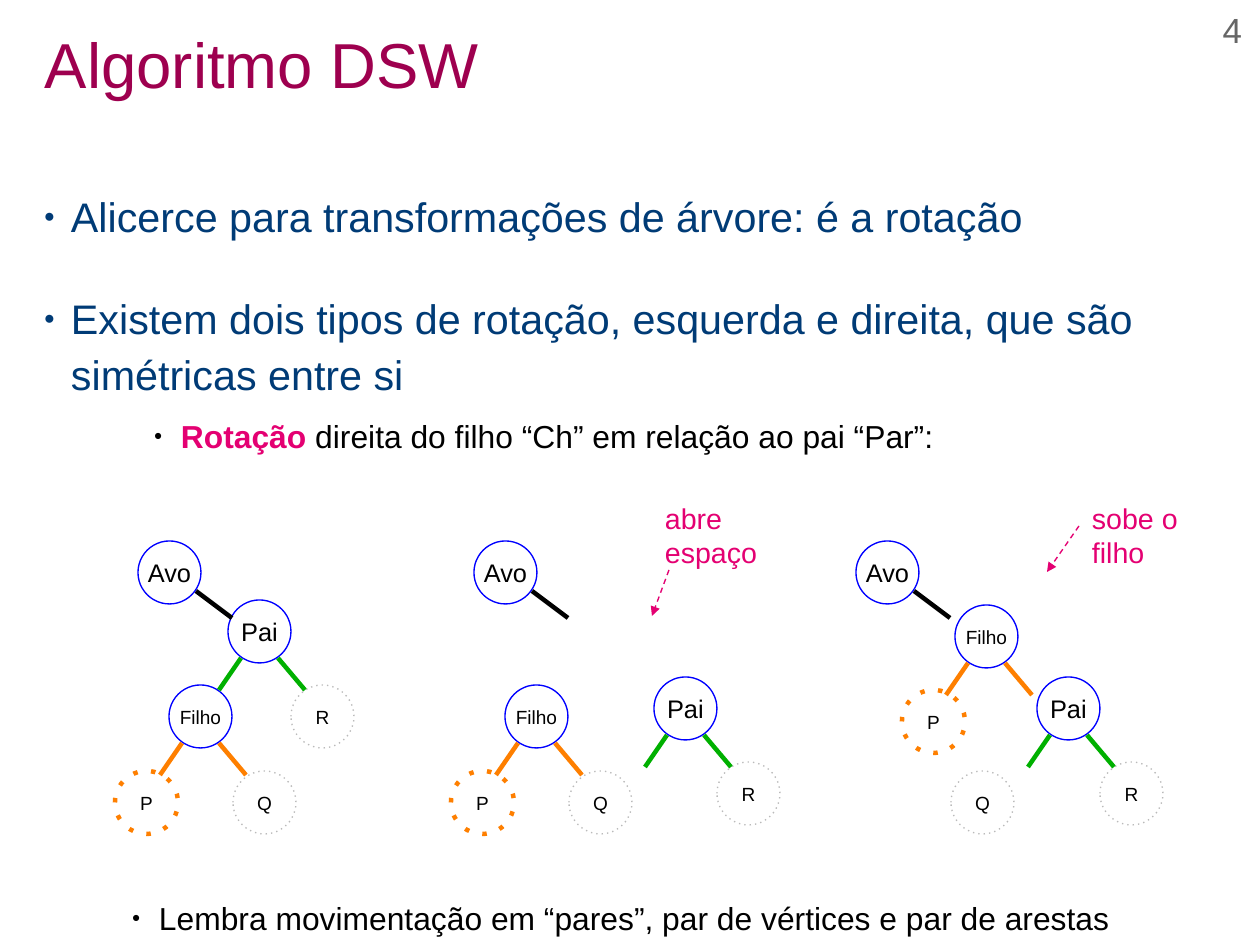
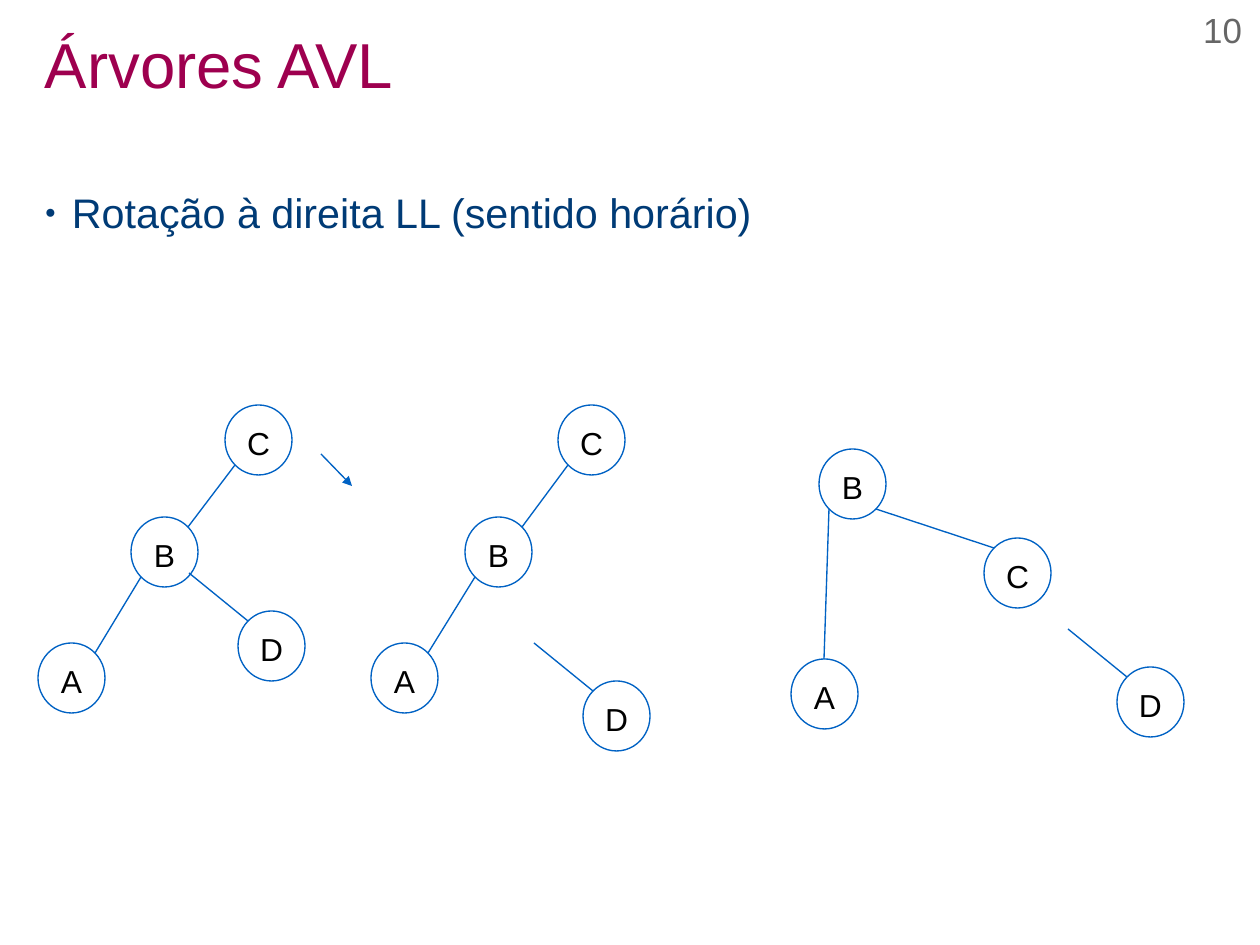
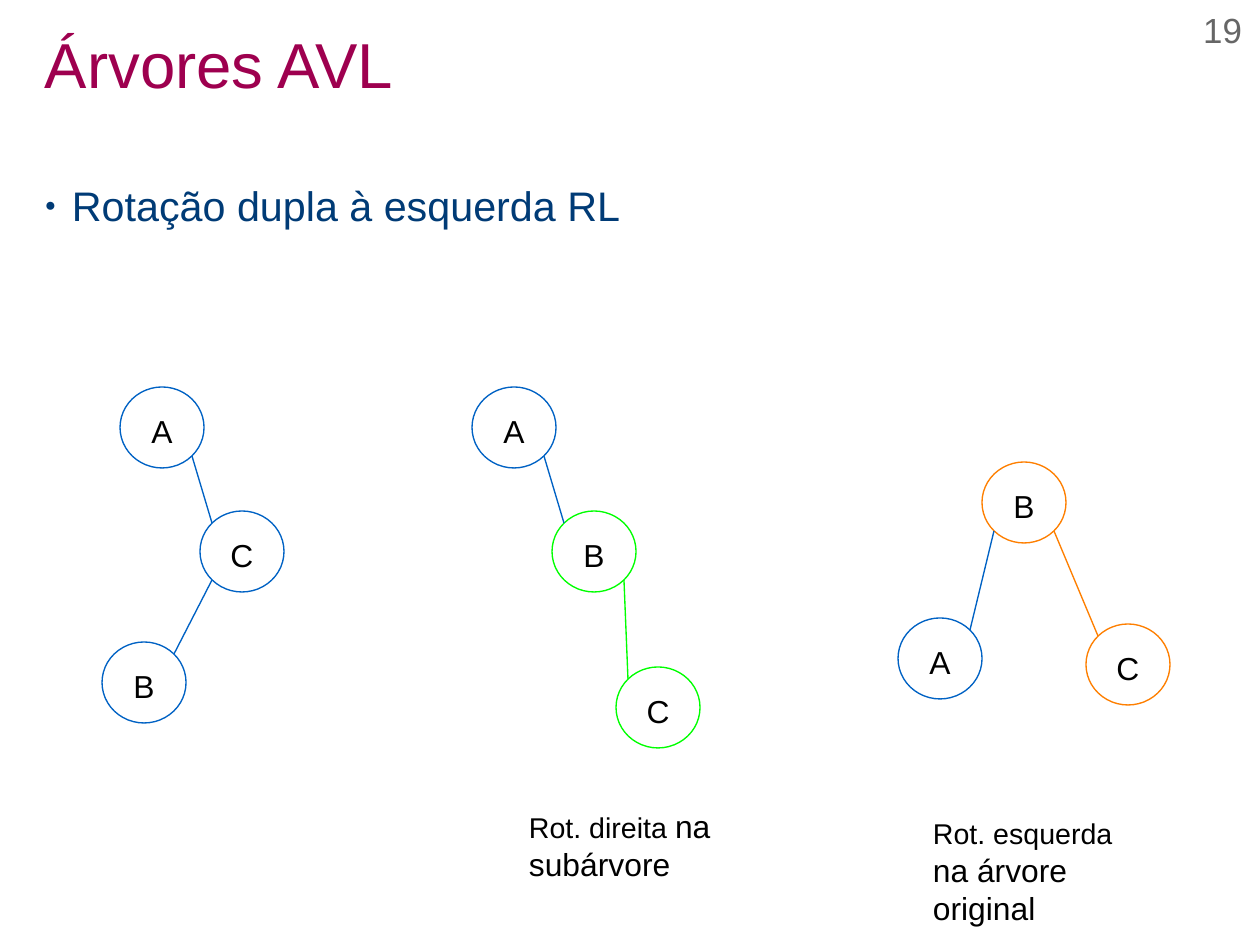
from lxml import etree
from pptx import Presentation
from pptx.dml.color import RGBColor
from pptx.enum.shapes import MSO_CONNECTOR, MSO_SHAPE
from pptx.enum.text import MSO_ANCHOR, MSO_AUTO_SIZE, PP_ALIGN
from pptx.oxml.ns import qn
from pptx.util import Pt

STRAIGHT = MSO_CONNECTOR.STRAIGHT
ELLIPSE = MSO_SHAPE.OVAL
MIDDLE = MSO_ANCHOR.MIDDLE
NO_FIT = MSO_AUTO_SIZE.NONE
LEFT, CENTER, RIGHT = PP_ALIGN.LEFT, PP_ALIGN.CENTER, PP_ALIGN.RIGHT

EMU_PER_PX = 8000
FONT = "Arial"
BLACK, GRAY, SILVER = "000000", "666666", "BABABA"
WINE, NAVY, PINK = "9E004F", "003B76", "E40072"
BLUE, AVL_BLUE, ORANGE = "0000FF", "0062C4", "FE7F00"
GREEN, LIME = "00B000", "00FF00"
THIN, THICK = 0.85, 2.83
TEXT_MARGINS = (11, 6)

# Points on an ellipse, as fractions of its half width and half height
SITES = {"top": (0, -1), "top left": (-0.71, -0.71), "top right": (0.71, -0.71),
         "bottom left": (-0.71, 0.71), "bottom right": (0.71, 0.71)}


def px(length):
    return round(length * EMU_PER_PX)


def rgb(color):
    return RGBColor.from_string(color)


def site(node, name):
    """Point of a node's outline, in px."""
    across, down = SITES[name]
    return (round((node.left + node.width * (1 + across) / 2) / EMU_PER_PX),
            round((node.top + node.height * (1 + down) / 2) / EMU_PER_PX))


class Deck:
    def __init__(self):
        self.presentation = Presentation()
        self.presentation.slide_width = px(1260)
        self.presentation.slide_height = px(945)
        self.slide = None

    # Slide frame: title and page number
    def new_slide(self, title, number):
        layout = self.presentation.slide_layouts[5]
        self.slide = self.presentation.slides.add_slide(layout)
        shape = self.slide.shapes.title
        shape.left, shape.top, shape.width, shape.height = map(px, (45, 23, 1170, 90))
        self.frame(shape, (0, 0), MIDDLE)
        self.set_paragraph(shape.text_frame.paragraphs[0], title, 40, WINE, LEFT, 0.9)
        self.text((930, 9, 312, 53), [number], 22, GRAY, RIGHT, margins=(0, 0))

    # Text
    def frame(self, shape, margins, anchor=None):
        frame = shape.text_frame
        frame.word_wrap = True
        frame.auto_size = NO_FIT
        frame.margin_left = frame.margin_right = px(margins[0])
        frame.margin_top = frame.margin_bottom = px(margins[1])
        if anchor is not None:
            frame.vertical_anchor = anchor
        return frame

    def style_font(self, font, size, color, bold=False):
        font.name, font.size, font.bold = FONT, Pt(size), bold
        font.color.rgb = rgb(color)

    def set_paragraph(self, paragraph, content, size, color, align=LEFT, spacing=1.0):
        """Content is a string, or runs given as (text, size, color, bold)."""
        if isinstance(content, str):
            paragraph.text = content
        else:
            for text, *style in content:
                run = paragraph.add_run()
                run.text = text
                self.style_font(run.font, *style)
        paragraph.alignment = align
        paragraph.line_spacing = spacing
        self.style_font(paragraph.font, size, color)

    def bullet(self, paragraph, color):
        properties = paragraph._p.get_or_add_pPr()
        properties.set("marL", str(px(27)))
        properties.set("indent", str(-px(27)))
        bullet_color = etree.SubElement(properties, qn("a:buClr"))
        etree.SubElement(bullet_color, qn("a:srgbClr"), val=color)
        etree.SubElement(properties, qn("a:buSzPct"), val="45000")
        etree.SubElement(properties, qn("a:buFont"), typeface=FONT)
        etree.SubElement(properties, qn("a:buChar"), char="●")

    def text(self, box, contents, size, color, align=LEFT, spacing=1.0,
             margins=TEXT_MARGINS, bullets=False, gap=0):
        shape = self.slide.shapes.add_textbox(*map(px, box))
        frame = self.frame(shape, margins)
        for index, content in enumerate(contents):
            paragraph = frame.add_paragraph() if index else frame.paragraphs[0]
            if bullets:
                self.bullet(paragraph, color)
            self.set_paragraph(paragraph, content, size, color, align, spacing)
            if index and gap:
                paragraph.space_before = Pt(gap)

    def topics(self, box, contents, spacing=1.15):
        self.text(box, contents, 26, NAVY, spacing=spacing, margins=(0, 0),
                  bullets=True, gap=28)

    def subtopic(self, box, content):
        self.text(box, [content], 20, BLACK, spacing=1.15, bullets=True)

    # Outlines and lines
    def outline(self, shape, color, width, dash=None, arrow=False):
        shape.line.color.rgb = rgb(color)
        shape.line.width = Pt(width)
        line = shape.element.spPr.find(qn("a:ln"))
        if dash:
            etree.SubElement(line, qn("a:prstDash"), val=dash)
        if arrow:
            etree.SubElement(line, qn("a:tailEnd"), type="triangle")

    def line(self, start, end, color, width=THIN, dash=None, arrow=False):
        connector = self.slide.shapes.add_connector(STRAIGHT, *map(px, (*start, *end)))
        self.outline(connector, color, width, dash, arrow)
        etree.SubElement(connector.element.spPr, qn("a:effectLst"))

    # Tree nodes and edges
    def node(self, label, box, size, color, width=THIN, dash=None, spacing=1.0):
        shape = self.slide.shapes.add_shape(ELLIPSE, *map(px, box))
        shape.shadow.inherit = False
        shape.fill.background()
        self.outline(shape, color, width, dash)
        frame = self.frame(shape, (0, 0), MIDDLE)
        self.set_paragraph(frame.paragraphs[0], label, size, BLACK, CENTER, spacing)
        return shape

    def letter_tree(self, places, size, edges, colors):
        """Edges are (node, site, node, site, color)."""
        nodes = {letter: self.node(letter, (*place, *size), 20,
                                   colors.get(letter, AVL_BLUE), spacing=1.15)
                 for letter, place in places.items()}
        for first, first_site, second, second_site, color in edges:
            self.line(site(nodes[first], first_site),
                      site(nodes[second], second_site), color)
        return nodes


# Family trees: label -> (text size, outline color, width, dash)
FAMILY_STYLES = {"Avo": (16, BLUE, THIN, None), "Pai": (16, BLUE, THIN, None),
                 "Filho": (12, BLUE, THIN, None), "P": (12, ORANGE, THICK, "dot"),
                 "Q": (12, SILVER, THIN, "dot"), "R": (12, SILVER, THIN, "dot")}
# Edges leaving a node: start inside its box, run, color
LEFT_EDGE = ((13, 58), (-22, 32))
RIGHT_EDGE = ((50, 58), (27, 32))
FAMILY_EDGES = [("Avo", (58, 50), (36, 27), BLACK),
                ("Pai", *LEFT_EDGE, GREEN), ("Pai", *RIGHT_EDGE, GREEN),
                ("Filho", *LEFT_EDGE, ORANGE), ("Filho", *RIGHT_EDGE, ORANGE)]
FAMILY_TREES = [
    {"Avo": (138, 541), "Pai": (228, 600), "Filho": (169, 685),
     "P": (115, 771), "Q": (233, 771), "R": (291, 685)},
    {"Avo": (474, 541), "Pai": (654, 677), "Filho": (505, 685),
     "P": (451, 771), "Q": (569, 771), "R": (717, 762)},
    {"Avo": (856, 541), "Pai": (1037, 677), "Filho": (955, 605),
     "P": (902, 690), "Q": (951, 771), "R": (1100, 762)},
]


def dsw_slide(deck):
    deck.new_slide("Algoritmo DSW", "4")
    deck.topics((44, 184, 1170, 216), [
        "Alicerce para transformações de árvore: é a rotação",
        "Existem dois tipos de rotação, esquerda e direita, que são simétricas entre si"])
    deck.subtopic((143, 405, 846, 53), [
        ("Rotação", 20, PINK, True),
        (" direita do filho “Ch” em relação ao pai “Par”:", 20, BLACK, False)])
    for places in FAMILY_TREES:
        for label, place in places.items():
            deck.node(label, (*place, 63, 63), *FAMILY_STYLES[label])
        for label, (start_x, start_y), (run_x, run_y), color in FAMILY_EDGES:
            left, top = places[label]
            x, y = left + start_x, top + start_y
            deck.line((x, y), (x + run_x, y + run_y), color, THICK)

    # Step notes with their arrows
    for left, note, start, end in [(654, "abre\vespaço", (669, 570), (652, 616)),
                                   (1081, "sobe o\vfilho", (1079, 526), (1047, 572))]:
        deck.text((left, 495, 135, 76), [note], 18, PINK)
        deck.line(start, end, PINK, dash="dash", arrow=True)
    deck.subtopic((121, 887, 1125, 57),
                  "Lembra movimentação em “pares”, par de vértices e par de arestas")


def simple_rotation_slide(deck):
    deck.new_slide("Árvores AVL", "10")
    deck.topics((45, 180, 1170, 60), ["Rotação à direita LL (sentido horário)"])
    chain = [("B", "bottom left", "A", "top right", AVL_BLUE),
             ("B", "top right", "C", "bottom left", AVL_BLUE)]
    rotated = [("B", "bottom left", "A", "top", AVL_BLUE),
               ("B", "bottom right", "C", "top left", AVL_BLUE)]
    for places, edges in [
            ({"B": (131, 517), "C": (225, 405), "A": (38, 643), "D": (238, 611)}, chain),
            ({"B": (465, 517), "C": (558, 405), "A": (371, 643), "D": (583, 681)}, chain),
            ({"B": (819, 449), "C": (984, 538), "A": (791, 659), "D": (1117, 667)},
             rotated)]:
        nodes = deck.letter_tree(places, (67, 70), edges, {})
        # Subtree D keeps its own edge while it moves
        x, y = site(nodes["D"], "top left")
        deck.line((x - 59, y - 48), (x, y), AVL_BLUE)
    deck.line((321, 454), (352, 486), AVL_BLUE, arrow=True)


def double_rotation_slide(deck):
    deck.new_slide("Árvores AVL", "19")
    deck.topics((45, 180, 1170, 60), ["Rotação dupla à esquerda RL"], spacing=1.0)
    for places, edges, colors in [
            ({"C": (200, 511), "A": (120, 387), "B": (102, 642)},
             [("C", "bottom left", "B", "top right", AVL_BLUE),
              ("C", "top left", "A", "bottom right", AVL_BLUE)], {}),
            ({"B": (552, 511), "A": (472, 387), "C": (616, 667)},
             [("B", "bottom right", "C", "top left", LIME),
              ("B", "top left", "A", "bottom right", AVL_BLUE)],
             {"B": LIME, "C": LIME}),
            ({"B": (982, 462), "A": (898, 618), "C": (1086, 624)},
             [("B", "bottom right", "C", "top left", ORANGE),
              ("B", "bottom left", "A", "top right", AVL_BLUE)],
             {"B": ORANGE, "C": ORANGE})]:
        deck.letter_tree(places, (84, 81), edges, colors)

    # Captions
    for box, step, scope in [
            ((518, 801, 315, 82), "Rot. direita ", "na subárvore"),
            ((922, 810, 235, 120), "Rot. esquerda ", "na árvore original")]:
        deck.text(box, [[(step, 18, BLACK), (scope, 20, BLACK)]], 20, BLACK)


def main():
    deck = Deck()
    dsw_slide(deck)
    simple_rotation_slide(deck)
    double_rotation_slide(deck)
    deck.presentation.save("out.pptx")


if __name__ == "__main__":
    main()
